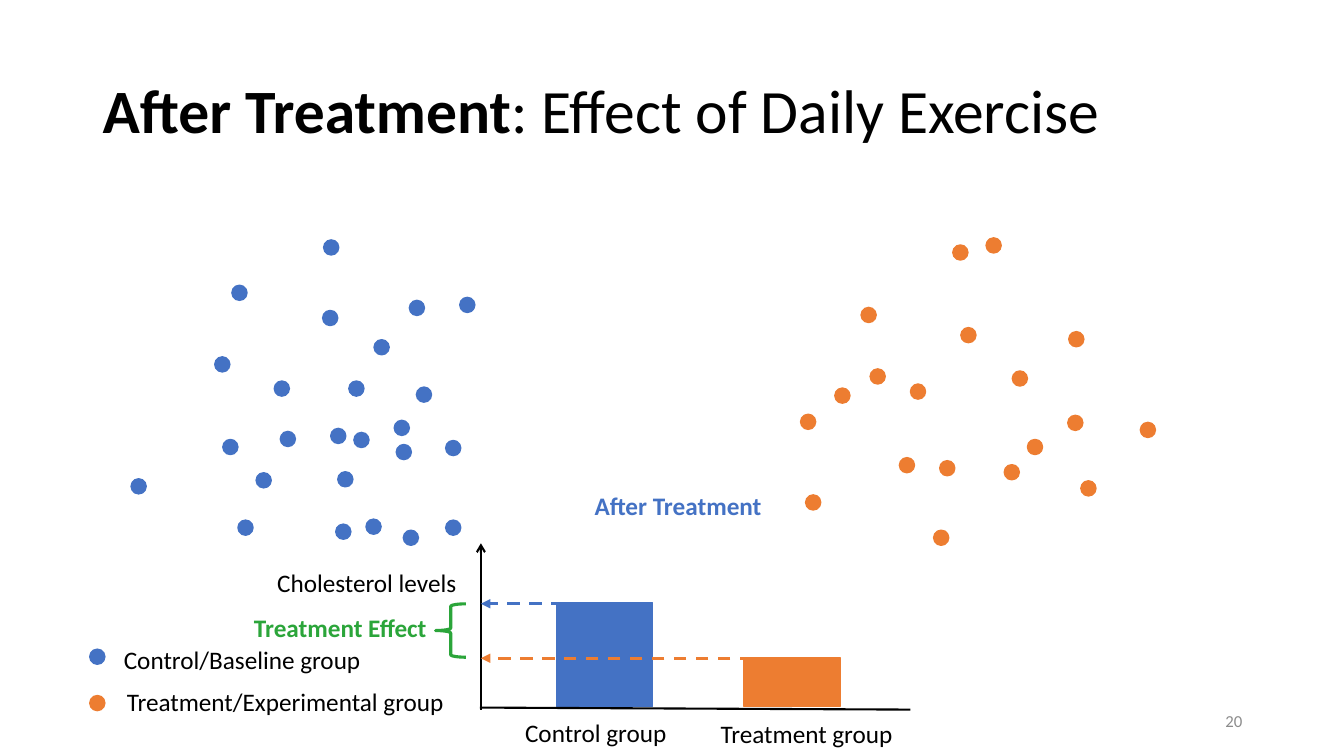
from pptx import Presentation
from pptx.dml.color import RGBColor
from pptx.enum.dml import MSO_LINE
from pptx.enum.shapes import MSO_CONNECTOR, MSO_SHAPE
from pptx.enum.text import MSO_ANCHOR, MSO_AUTO_SIZE, PP_ALIGN
from pptx.oxml.ns import qn
from pptx.util import Inches, Pt
from lxml.etree import SubElement

COLORS = {
    "control": "4472C4",
    "treatment": "ED7D31",
    "effect": "2BA53A",
    "text": "000000",
    "number": "8C8C8C",
}
DOT_SIZE = 0.15

CONTROL_DOTS = [
    (2.13, 3.54), (2.21, 4.36), (2.78, 4.28), (2.54, 4.69), (1.3, 4.75),
    (2.36, 5.16), (2.3, 2.83), (3.71, 3.37), (3.46, 3.78), (2.72, 3.78),
    (4.06, 2.98), (3.28, 4.25), (3.21, 2.38), (4.56, 2.95), (4.13, 3.84),
    (3.33, 5.2), (4.42, 5.16), (3.93, 4.41), (4.42, 4.37), (4, 5.26),
    (3.51, 4.29), (3.35, 4.68), (3.91, 4.17), (3.63, 5.15), (3.2, 3.08),
]
TREATMENT_DOTS = [
    (8.28, 3.85), (9.03, 3.81), (9.26, 5.26), (8.92, 4.54), (7.99, 4.91),
    (10.72, 4.77), (10.04, 3.68), (9.32, 4.57), (9.45, 2.43), (9.53, 3.25),
    (10.19, 4.36), (8.63, 3.66), (8.54, 3.05), (9.78, 2.36), (9.96, 4.61),
    (10.59, 4.12), (11.31, 4.19), (10.6, 3.29), (7.94, 4.11),
]
CONTROL_LEGEND_DOT = (0.89, 6.44)
TREATMENT_LEGEND_DOT = (0.89, 6.9)


class SlideBuilder:
    def __init__(self, slide, font="Calibri"):
        self.slide = slide
        self.font = font

    def color(self, name):
        return RGBColor.from_string(COLORS[name])

    def shape(self, kind, box, color, filled=True, line_width=1, rotation=0):
        shape = self.slide.shapes.add_shape(kind, *map(Inches, box))
        shape.shadow.inherit = False
        shape.rotation = rotation
        if filled:
            shape.fill.solid()
            shape.fill.fore_color.rgb = self.color(color)
        else:
            shape.fill.background()
        shape.line.color.rgb = self.color(color)
        shape.line.width = Pt(line_width)

    def dots(self, positions, color):
        for left, top in positions:
            self.shape(MSO_SHAPE.OVAL, (left, top, DOT_SIZE, DOT_SIZE), color)

    def line(self, start, end, color="text", width=1.5, dash=None, arrow=None):
        line = self.slide.shapes.add_connector(
            MSO_CONNECTOR.STRAIGHT, *map(Inches, start + end))
        line.line.color.rgb = self.color(color)
        line.line.width = Pt(width)
        if dash:
            line.line.dash_style = dash
        if arrow:
            SubElement(line.line._get_or_add_ln(), qn("a:tailEnd"), type=arrow)
        SubElement(line._element.spPr, qn("a:effectLst"))

    def text(self, runs, box, size=18, color="text", align=PP_ALIGN.LEFT,
             anchor=MSO_ANCHOR.TOP, spacing=1.0, grow=True):
        """Add one paragraph of (text, bold) runs."""
        frame = self.slide.shapes.add_textbox(*map(Inches, box)).text_frame
        frame.word_wrap = True
        frame.vertical_anchor = anchor
        if grow:
            frame.auto_size = MSO_AUTO_SIZE.SHAPE_TO_FIT_TEXT
        paragraph = frame.paragraphs[0]
        paragraph.alignment = align
        paragraph.line_spacing = spacing
        for words, bold in runs:
            run = paragraph.add_run()
            run.text = words
            run.font.name = self.font
            run.font.size = Pt(size)
            run.font.bold = bold
            run.font.color.rgb = self.color(color)


def add_bar_diagram(builder):
    builder.shape(MSO_SHAPE.RECTANGLE, (5.52, 5.98, 0.95, 1.03), "control")
    builder.line((4.76, 7.02), (9.03, 7.04))
    builder.shape(MSO_SHAPE.RECTANGLE, (7.38, 6.52, 0.95, 0.49), "treatment")
    builder.line((4.77, 7.04), (4.77, 5.39), arrow="arrow")
    builder.shape(MSO_SHAPE.RIGHT_BRACE, (4.32, 5.99, 0.3, 0.53), "effect",
                  filled=False, line_width=2.25, rotation=180)
    for right, level, color in [(6.46, 5.99, "control"), (8.33, 6.53, "treatment")]:
        builder.line((right, level), (4.77, level), color, 2.25,
                     MSO_LINE.DASH, "triangle")


def add_labels(builder):
    for words, left, top, width in [
        ("Control group", 5.11, 7.07, 1.93),
        ("Cholesterol levels", 2.65, 5.58, 2.11),
        ("Treatment group", 7.05, 7.08, 1.93),
        ("Treatment/Experimental group", 1.16, 6.76, 3.52),
        ("Control/Baseline group", 1.13, 6.34, 3.9),
    ]:
        builder.text([(words, False)], (left, top, width, 0.4))
    for words, left, top, color in [
        ("After Treatment", 5.73, 4.82, "control"),
        ("Treatment Effect", 2.38, 6.03, "effect"),
    ]:
        builder.text([(words, True)], (left, top, 1.99, 0.4), color=color,
                     align=PP_ALIGN.CENTER)


def main():
    presentation = Presentation()
    presentation.slide_width = Inches(13.33)
    presentation.slide_height = Inches(7.5)
    slide = presentation.slides.add_slide(presentation.slide_layouts[6])
    builder = SlideBuilder(slide)

    builder.text([("After Treatment", True), (": Effect of Daily Exercise", False)],
                 (0.92, 0.4, 11.5, 1.45), size=44, anchor=MSO_ANCHOR.MIDDLE,
                 spacing=0.9, grow=False)
    builder.dots(TREATMENT_DOTS + [TREATMENT_LEGEND_DOT], "treatment")
    builder.dots(CONTROL_DOTS + [CONTROL_LEGEND_DOT], "control")
    add_bar_diagram(builder)
    add_labels(builder)
    builder.text([("20", False)], (9.42, 6.95, 3, 0.4), size=12, color="number",
                 align=PP_ALIGN.RIGHT, anchor=MSO_ANCHOR.MIDDLE, grow=False)
    presentation.save("out.pptx")


if __name__ == "__main__":
    main()
